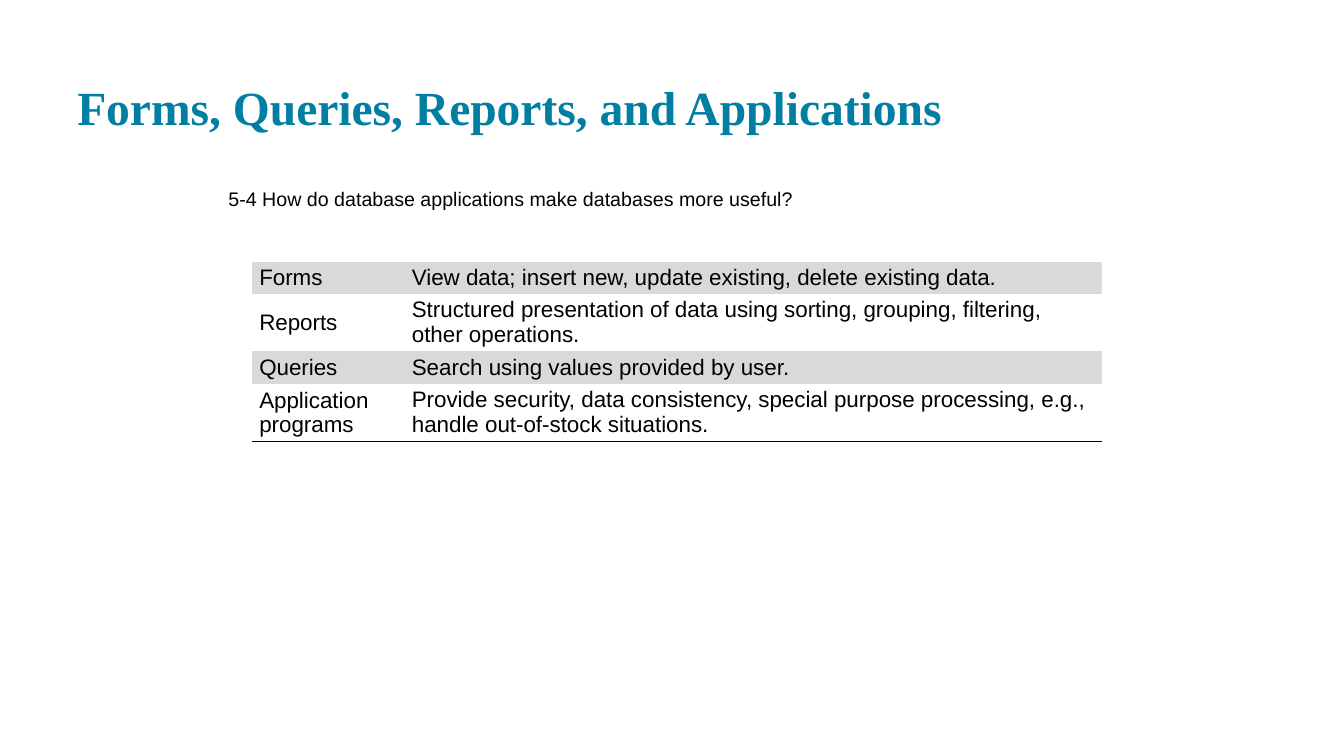
import pptx
import pptx.dml.color
import pptx.enum.text
import pptx.oxml
import pptx.oxml.ns
import pptx.util

Pt = pptx.util.Pt
ANCHOR = pptx.enum.text.MSO_ANCHOR
NAMESPACE = pptx.oxml.ns.nsdecls("a")


def color(hex_string):
    return pptx.dml.color.RGBColor.from_string(hex_string)


def set_text(frame, text, size, font_name, hex_string, bold=False):
    para = frame.paragraphs[0]
    para.add_run().text = text
    para.alignment = pptx.enum.text.PP_ALIGN.LEFT
    para.space_before = Pt(0)
    para.font.size = Pt(size)
    para.font.name = font_name
    para.font.bold = bold
    para.font.color.rgb = color(hex_string)


deck = pptx.Presentation()
deck.slide_width, deck.slide_height = Pt(960), Pt(540)
page = deck.slides.add_slide(deck.slide_layouts[1])
title, question = page.placeholders

# Title and section question
title.left, title.top, title.width, title.height = Pt(48), Pt(17.3), Pt(864), Pt(86.4)
question.left, question.top, question.width, question.height = Pt(156), Pt(126), Pt(648), Pt(27.4)
for box, anchor in ((title, ANCHOR.BOTTOM), (question, ANCHOR.TOP)):
    frame = box.text_frame
    frame.auto_size = pptx.enum.text.MSO_AUTO_SIZE.NONE
    frame.word_wrap = True
    frame.vertical_anchor = anchor
    frame.margin_left = frame.margin_right = Pt(7.2)
    frame.margin_top = frame.margin_bottom = Pt(7.2)

# The question carries no bullet and no indent
properties = question.text_frame.paragraphs[0]._p.get_or_add_pPr()
properties.set("marL", "0")
properties.set("indent", "0")
properties.append(pptx.oxml.parse_xml(f"<a:buNone {NAMESPACE}/>"))

set_text(title.text_frame, "Forms, Queries, Reports, and Applications",
         34, "Times New Roman", "007FA3", bold=True)
set_text(question.text_frame, "5-4 How do database applications make databases more useful?",
         14, "Arial", "000000")

# Table of application elements: name, purpose, row height
elements = [
    ("Forms", "View data; insert new, update existing, delete existing data.", 22.9),
    ("Reports", "Structured presentation of data using sorting, grouping, filtering, "
                "other operations.", 41.2),
    ("Queries", "Search using values provided by user.", 22.9),
    ("Application programs", "Provide security, data consistency, special purpose processing, "
                             "e.g., handle out-of-stock situations.", 41.2),
]
table = page.shapes.add_table(len(elements), 2, Pt(180), Pt(187), Pt(607), Pt(128.2)).table
table.first_row = False
table.horz_banding = False
table.columns[0].width, table.columns[1].width = Pt(109), Pt(498)

NO_LINE = "<a:noFill/>"
BLACK_LINE = '<a:solidFill><a:srgbClr val="000000"/></a:solidFill>'

for row, (name, purpose, height) in enumerate(elements):
    table.rows[row].height = Pt(height)
    is_last = row == len(elements) - 1
    for column, text in enumerate((name, purpose)):
        cell = table.cell(row, column)
        cell.margin_left = cell.margin_right = Pt(5.2)
        cell.margin_top, cell.margin_bottom = Pt(2.5), Pt(1.9)
        cell.vertical_anchor = ANCHOR.TOP if column else ANCHOR.MIDDLE
        # Borders: only a rule under the last row
        for side in ("L", "R", "T", "B"):
            line = BLACK_LINE if is_last and side == "B" else NO_LINE
            cell._tc.get_or_add_tcPr().append(pptx.oxml.parse_xml(
                f'<a:ln{side} {NAMESPACE} w="12700">{line}</a:ln{side}>'))
        cell.fill.solid()
        cell.fill.fore_color.rgb = color("FFFFFF" if row % 2 else "D9D9D9")
        set_text(cell.text_frame, text, 16, "Arial", "000000")

deck.save("out.pptx")
